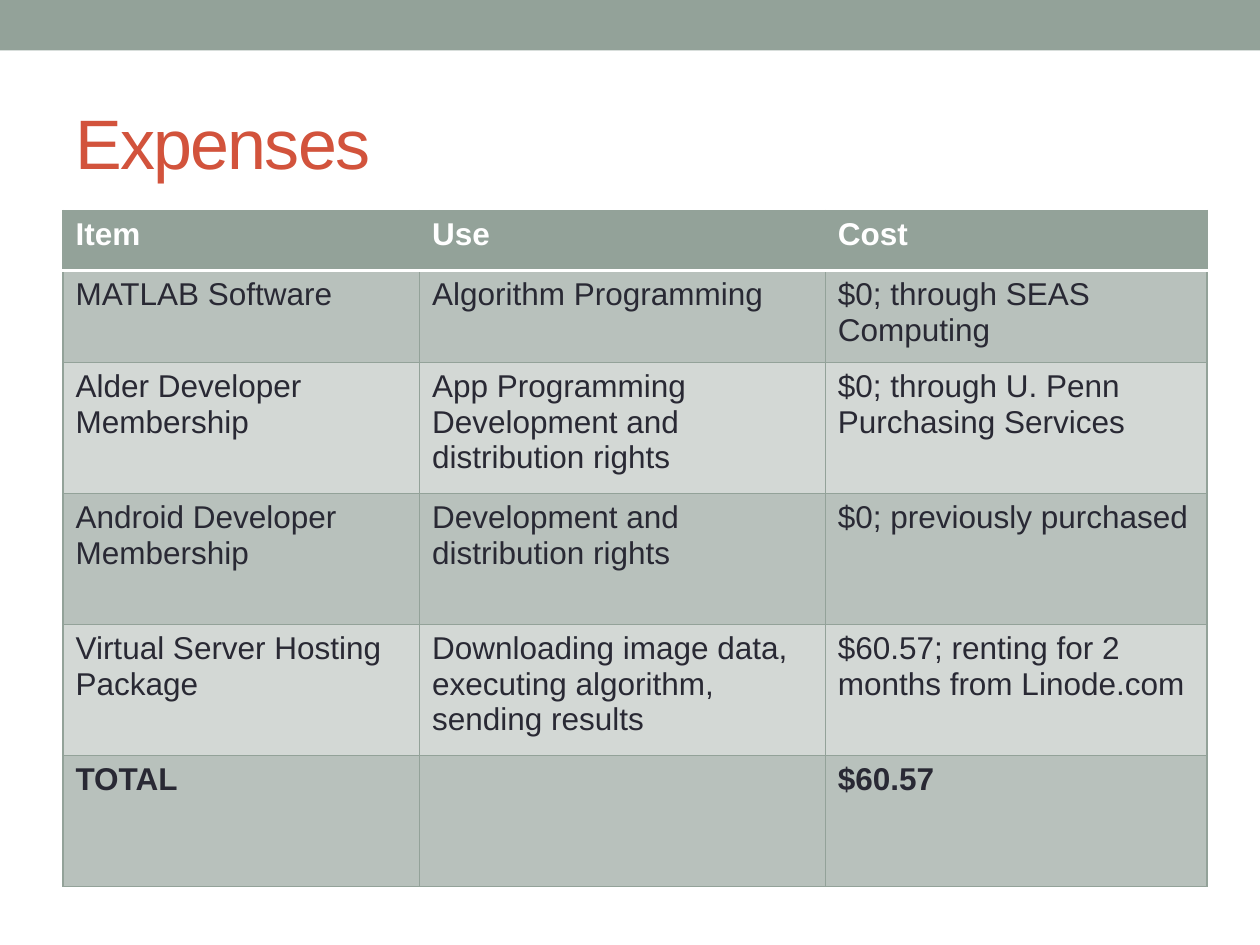
from lxml.etree import SubElement
from pptx import Presentation
from pptx.dml.color import RGBColor
from pptx.enum.shapes import MSO_SHAPE
from pptx.enum.text import MSO_ANCHOR
from pptx.oxml.ns import qn
from pptx.util import Inches, Pt

HEX = {
    "sage": "93A299",
    "dark": "B8C1BC",
    "light": "D3D8D5",
    "rust": "D2533C",
    "ink": "292934",
    "white": "FFFFFF",
}
COLS = [2.83, 3.22, 3.03]
ROWS = [0.48, 0.73] + [1.04] * 4
DATA = [
    ["Item", "Use", "Cost"],
    ["MATLAB Software", "Algorithm Programming", "$0; through SEAS Computing"],
    ["Alder Developer Membership",
     "App Programming\nDevelopment and distribution rights",
     "$0; through U. Penn Purchasing Services"],
    ["Android Developer Membership", "Development and distribution rights",
     "$0; previously purchased"],
    ["Virtual Server Hosting Package",
     "Downloading image data, executing algorithm, sending results",
     "$60.57; renting for 2 months from Linode.com"],
    ["TOTAL", "", "$60.57"],
]


def rgb(name):
    """Return a palette colour."""
    return RGBColor.from_string(HEX[name])


def add_run(para, text, size, color, bold=False):
    """Add one styled run to a paragraph."""
    run = para.add_run()
    run.text = text
    font = run.font
    font.name, font.size, font.bold = "Arial", Pt(size), bold
    font.color.rgb = rgb(color)
    return run


def add_band(slide):
    """Draw the band across the top."""
    band = slide.shapes.add_shape(
        MSO_SHAPE.RECTANGLE, 0, 0, Inches(10), Inches(0.4))
    band.shadow.inherit = False
    band.fill.solid()
    band.fill.fore_color.rgb = rgb("sage")
    band.line.fill.background()


def add_title(slide, text):
    """Add the slide title with tight letter spacing."""
    box = slide.shapes.add_textbox(
        Inches(0.5), Inches(0.58), Inches(9), Inches(1.08))
    frame = box.text_frame
    frame.word_wrap = True
    frame.vertical_anchor = MSO_ANCHOR.MIDDLE
    run = add_run(frame.paragraphs[0], text, 40, "rust")
    run._r.get_or_add_rPr().set("spc", "-100")


def add_edge(cell, side, color, width):
    """Add one border line to a cell."""
    props = cell._tc.get_or_add_tcPr()
    line = SubElement(props, qn("a:ln" + side), w=str(Pt(width)))
    fill = SubElement(line, qn("a:solidFill"))
    SubElement(fill, qn("a:srgbClr"), val=HEX[color])


def fill_cell(cell, text, row):
    """Style one cell by its row and write its text."""
    head = row == 0
    rule = ("white", 2.08)
    thin = ("sage", 0.75)
    edges = {"L": thin, "R": thin,
             "T": rule if row == 1 else thin,
             "B": rule if head else thin}
    for side, (color, width) in edges.items():
        add_edge(cell, side, color, width)
    cell.fill.solid()
    cell.fill.fore_color.rgb = rgb(
        "sage" if head else "dark" if row % 2 else "light")
    frame = cell.text_frame
    bold = row in (0, len(DATA) - 1)
    for i, part in enumerate(text.split("\n") if text else []):
        para = frame.add_paragraph() if i else frame.paragraphs[0]
        add_run(para, part, 18, "white" if head else "ink", bold)


def add_costs(slide):
    """Add the table of expenses."""
    table = slide.shapes.add_table(
        len(ROWS), len(COLS), Inches(0.5), Inches(1.67),
        Inches(sum(COLS)), Inches(sum(ROWS))).table
    table.horz_banding = False
    for col, width in zip(table.columns, COLS):
        col.width = Inches(width)
    for r, height in enumerate(ROWS):
        table.rows[r].height = Inches(height)
        for c, text in enumerate(DATA[r]):
            fill_cell(table.cell(r, c), text, r)


def main():
    """Build and save the slide."""
    deck = Presentation()
    deck.slide_width, deck.slide_height = Inches(10), Inches(7.5)
    slide = deck.slides.add_slide(deck.slide_layouts[6])
    add_band(slide)
    add_title(slide, "Expenses")
    add_costs(slide)
    deck.save("out.pptx")


if __name__ == "__main__":
    main()
